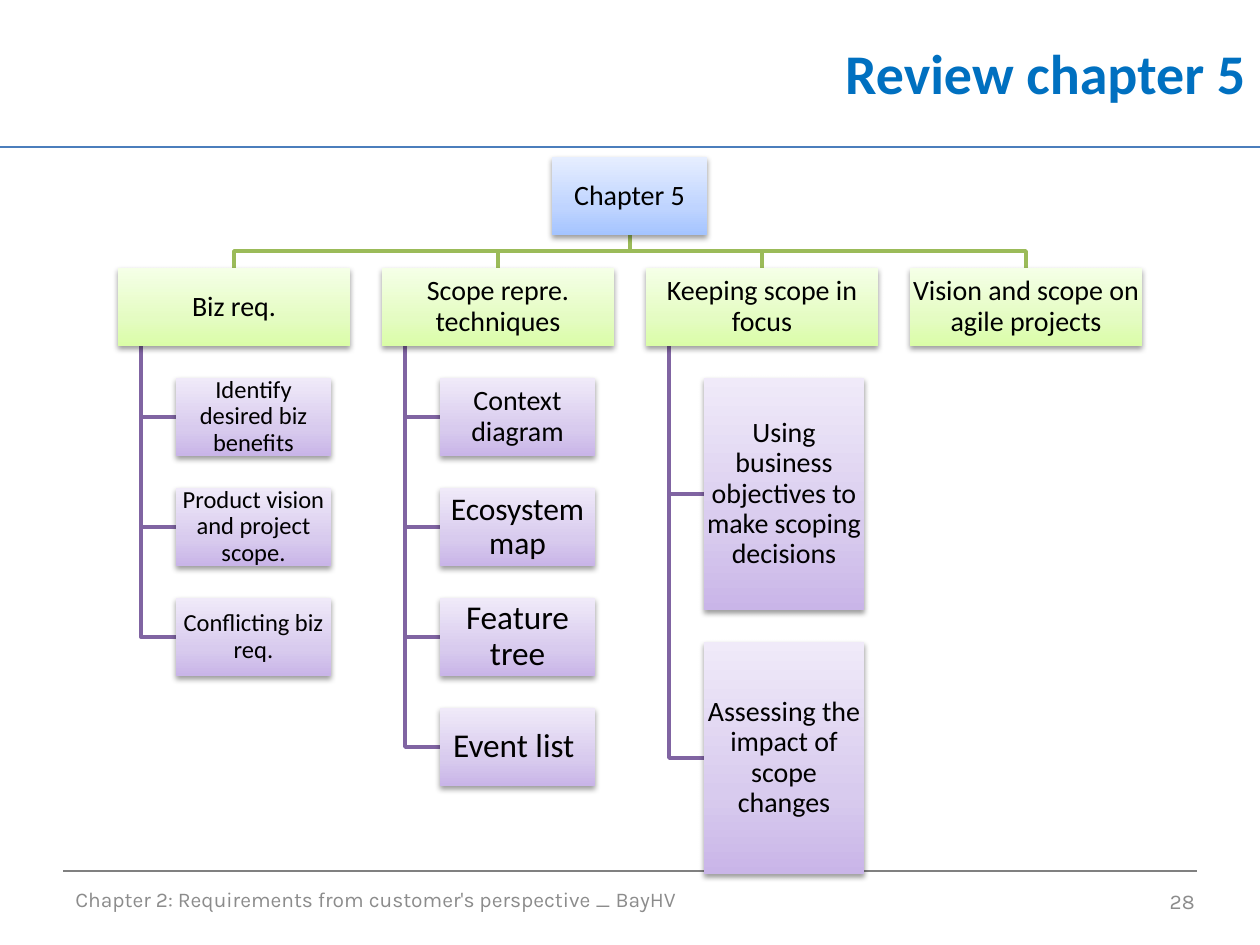
from copy import deepcopy
from dataclasses import dataclass

from lxml import etree
from pptx import Presentation
from pptx.dml.color import RGBColor
from pptx.enum.shapes import MSO_CONNECTOR, MSO_SHAPE
from pptx.enum.text import MSO_ANCHOR, PP_ALIGN
from pptx.oxml import parse_xml
from pptx.oxml.ns import nsdecls, qn
from pptx.util import Emu, Pt

LEFT, CENTER, RIGHT = PP_ALIGN.LEFT, PP_ALIGN.CENTER, PP_ALIGN.RIGHT
MIDDLE = MSO_ANCHOR.MIDDLE
RECT = MSO_SHAPE.RECTANGLE
STRAIGHT = MSO_CONNECTOR.STRAIGHT
SCALE = 914400 / 126  # EMU per px


@dataclass(frozen=True)
class Theme:
    font: str = "Calibri"
    footer_font: str = "Karla"
    title: str = "0070C0"
    footer: str = "8C8C8C"
    text: str = "000000"
    title_rule: str = "4B7EBC"
    footer_rule: str = "808080"
    branch: str = "9BBB59"
    twig: str = "8064A2"
    root_fill: tuple = ("A4C4FF", "BFD4FF", "E6EEFF")
    topic_fill: tuple = ("DAFDA7", "E4FCC2", "F5FFE7")
    item_fill: tuple = ("C9B5E8", "D8CBEE", "F0EAF9")
    stops: tuple = (0, 0.35, 1)
    title_size: int = 32
    footer_size: int = 12
    node_size: int = 16
    rule_width: float = 0.75
    link_width: int = 2


THEME = Theme()

CENTER_X = 630
ROOT_TOP, TOPIC_TOP, ITEM_TOP = 157, 268, 378
NODE_W, NODE_H = 155, 78
TOPIC_W, TOPIC_PITCH = 232, 264
SPINE_INDENT, ITEM_INDENT, ITEM_GAP = 23, 58, 32

# Topic, item width, item height, then (item, type size)
TOPICS = [
    ("Biz req.", NODE_W, NODE_H, [
        ("Identify desired biz benefits", 14),
        ("Product vision and project scope.", 14),
        ("Conflicting biz req.", 14)]),
    ("Scope repre. techniques", NODE_W, NODE_H, [
        ("Context diagram", 16),
        ("Ecosystem map", 18),
        ("Feature tree", 19),
        ("Event list ", 19)]),
    ("Keeping scope in focus", 160, 232, [
        ("Using business objectives to make scoping decisions", 16),
        ("Assessing the impact of scope changes", 16)]),
    ("Vision and scope on agile projects", NODE_W, NODE_H, []),
]


def px(n):
    return Emu(round(n * SCALE))


def rgb(color):
    return RGBColor.from_string(color)


def set_text(s, text, size, color, font, align, bold=False):
    tf = s.text_frame
    tf.word_wrap = True
    tf.vertical_anchor = MIDDLE
    tf.text = text
    p = tf.paragraphs[0]
    p.alignment = align
    f = p.runs[0].font
    f.name, f.size, f.bold = font, Pt(size), bold
    f.color.rgb = rgb(color)


def add_label(slide, box, *style, **options):
    s = slide.shapes.add_textbox(*map(px, box))
    set_text(s, *style, **options)


def add_rule(slide, x1, x2, y, color):
    line = slide.shapes.add_connector(STRAIGHT, px(x1), px(y), px(x2), px(y))
    line.line.color.rgb = rgb(color)
    line.line.width = Pt(THEME.rule_width)
    etree.SubElement(line._element.spPr, qn("a:effectLst"))


def add_link(slide, points, color):
    """Draw an open elbow line through the points."""
    builder = slide.shapes.build_freeform(*points[0], scale=SCALE)
    builder.add_line_segments(points[1:], close=False)
    s = builder.convert_to_shape()
    s.shadow.inherit = False
    s.fill.background()
    s.line.color.rgb = rgb(color)
    s.line.width = Pt(THEME.link_width)


def set_gradient(s, colors):
    """Fill from bottom to top with three colours."""
    s.fill.gradient()
    s.fill.gradient_angle = 90
    stops = s._element.spPr.find(qn("a:gradFill")).find(qn("a:gsLst"))
    stops.append(deepcopy(stops[-1]))
    for stop, color, position in zip(s.fill.gradient_stops, colors, THEME.stops):
        stop.color.rgb = rgb(color)
        stop.position = position


def set_shadow(s):
    s.shadow.inherit = False
    s._element.spPr.find(qn("a:effectLst")).append(parse_xml(
        f'<a:outerShdw {nsdecls("a")} blurRad="40000" dist="20000" '
        'dir="5400000" rotWithShape="0"><a:srgbClr val="000000">'
        '<a:alpha val="38000"/></a:srgbClr></a:outerShdw>'))


def add_node(slide, box, text, fill, size=THEME.node_size):
    s = slide.shapes.add_shape(RECT, *map(px, box))
    set_gradient(s, fill)
    s.line.fill.background()
    set_shadow(s)
    set_text(s, text, size, THEME.text, THEME.font, CENTER)
    tf = s.text_frame
    tf.margin_left = tf.margin_right = tf.margin_top = tf.margin_bottom = px(1)
    tf.paragraphs[0].line_spacing = 0.9


def add_topic(slide, center, topic, item_w, item_h, items):
    """Add one topic with its link to the root and its column of items."""
    left = center - TOPIC_W // 2
    root_bottom = ROOT_TOP + NODE_H
    bus = (root_bottom + TOPIC_TOP) // 2
    add_link(slide, [(CENTER_X, root_bottom), (CENTER_X, bus),
                     (center, bus), (center, TOPIC_TOP)], THEME.branch)
    spine, item_left = left + SPINE_INDENT, left + ITEM_INDENT
    for i, (text, size) in enumerate(items):
        top = ITEM_TOP + i * (item_h + ITEM_GAP)
        middle = top + item_h // 2
        add_link(slide, [(spine, TOPIC_TOP + NODE_H), (spine, middle),
                         (item_left, middle)], THEME.twig)
        add_node(slide, (item_left, top, item_w, item_h), text,
                 THEME.item_fill, size)
    add_node(slide, (left, TOPIC_TOP, TOPIC_W, NODE_H), topic, THEME.topic_fill)


def add_frame(slide):
    """Add the title, footer and their rules."""
    add_rule(slide, 0, 1260, 147, THEME.title_rule)
    add_rule(slide, 63, 1197, 871, THEME.footer_rule)
    add_label(slide, (365, 0, 893, 145), "Review chapter 5", THEME.title_size,
              THEME.title, THEME.font, RIGHT, bold=True)
    footer = THEME.footer_size, THEME.footer, THEME.footer_font
    add_label(slide, (63, 874, 840, 50),
              "Chapter 2: Requirements from customer's perspective _ BayHV",
              *footer, LEFT)
    add_label(slide, (914, 876, 293, 50), "28", *footer, RIGHT)


def main():
    prs = Presentation()
    prs.slide_width, prs.slide_height = px(1260), px(945)
    slide = prs.slides.add_slide(prs.slide_layouts[6])
    add_frame(slide)
    first = CENTER_X - TOPIC_PITCH * (len(TOPICS) - 1) // 2
    for i, topic in enumerate(TOPICS):
        add_topic(slide, first + i * TOPIC_PITCH, *topic)
    add_node(slide, (CENTER_X - NODE_W // 2 - 1, ROOT_TOP, NODE_W, NODE_H),
             "Chapter 5", THEME.root_fill)
    prs.save("out.pptx")


if __name__ == "__main__":
    main()
